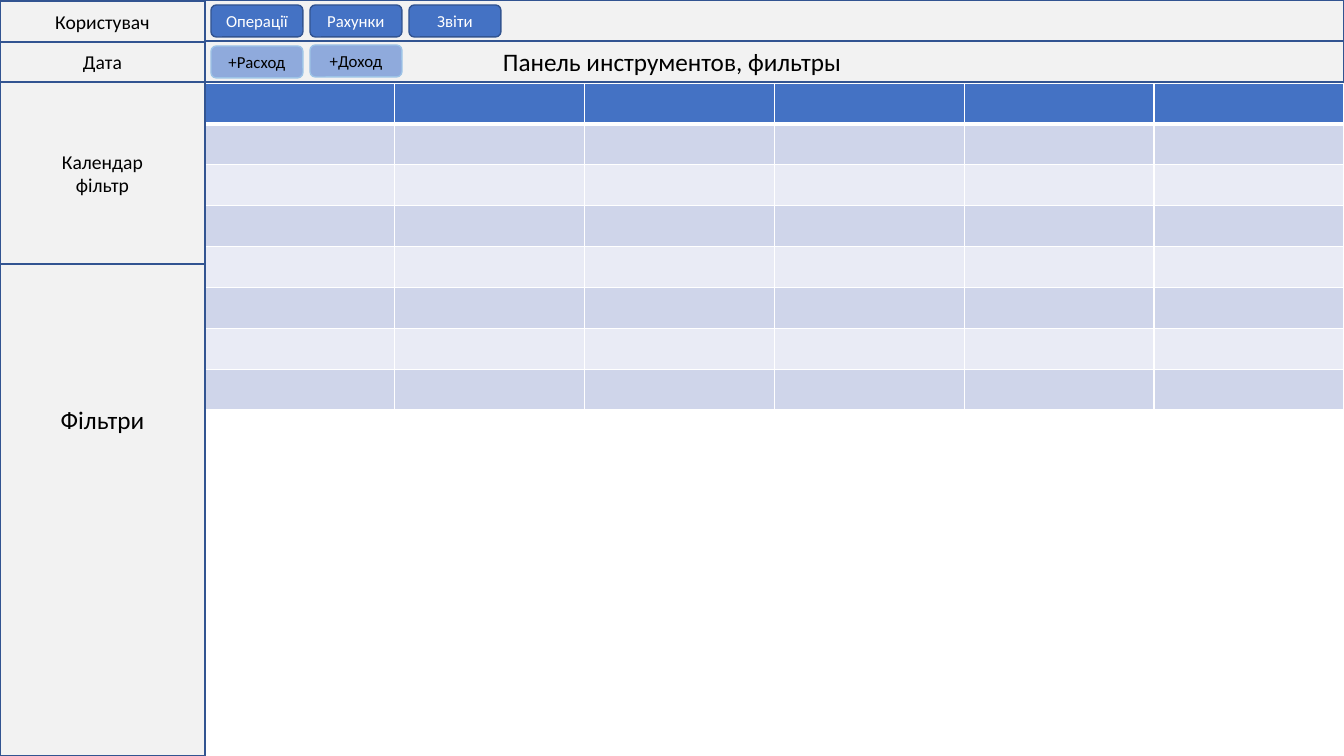
from dataclasses import dataclass

from lxml.etree import SubElement
from pptx import Presentation
from pptx.dml.color import RGBColor
from pptx.enum.shapes import MSO_SHAPE
from pptx.enum.text import MSO_ANCHOR, PP_ALIGN
from pptx.oxml.ns import qn
from pptx.util import Pt

SLIDE_WIDTH, SLIDE_HEIGHT = 1344, 756
EMU_PER_PIXEL = 12192000 / SLIDE_WIDTH
SIDEBAR_WIDTH = 205
BAR_HEIGHT = 41
BUTTON_LEFT, BUTTON_STEP = 211, 99
BUTTON_WIDTH, BUTTON_HEIGHT = 92, 32
GRID_TOP, GRID_HEIGHT = 83, 326
GRID_ROWS, GRID_COLUMNS = 8, 6

COLORS = {
    "panel": "F2F2F2",
    "outline": "325491",
    "accent": "4472C4",
    "entry": "8FAADC",
    "entry_outline": "9DC3E6",
    "odd_row": "CFD5EA",
    "even_row": "E9EBF5",
    "black": "000000",
    "white": "FFFFFF",
}


@dataclass(frozen=True)
class Panel:
    """A rectangular area of the window."""
    top: int
    width: int
    height: int
    label: str = ""
    size: int = 14


@dataclass(frozen=True)
class Button:
    """A rounded button placed in a numbered slot of a bar."""
    slot: int
    top: int
    label: str
    fill: str = "accent"
    outline: str = "outline"
    ink: str = "white"


TOOLBARS = [
    Panel(0, SLIDE_WIDTH, BAR_HEIGHT),
    Panel(41, SLIDE_WIDTH, BAR_HEIGHT, "Панель инструментов, фильтры", 18),
]
SIDEBAR = [
    Panel(41, SIDEBAR_WIDTH, BAR_HEIGHT, "Дата"),
    Panel(82, SIDEBAR_WIDTH, SLIDE_HEIGHT - 82, "Фільтри", 18),
    Panel(82, SIDEBAR_WIDTH, 182, "Календар\nфільтр"),
    Panel(1, SIDEBAR_WIDTH, BAR_HEIGHT, "Користувач"),
]
BUTTONS = [
    Button(0, 5, "Операції"),
    Button(1, 5, "Рахунки"),
    Button(2, 5, "Звіти"),
    Button(0, 46, "+Расход", "entry", "entry_outline", "black"),
    Button(1, 45, "+Доход", "entry", "entry_outline", "black"),
]


def px(pixels: int) -> int:
    """Turn pixels into EMU."""
    return round(pixels * EMU_PER_PIXEL)


def color(name: str) -> RGBColor:
    """Look up a named colour."""
    return RGBColor.from_string(COLORS[name])


def write(frame, text: str, *, size: int, ink: str = "black") -> None:
    """Write centred text, one paragraph a line."""
    frame.text = text
    frame.word_wrap = True
    frame.vertical_anchor = MSO_ANCHOR.MIDDLE
    for paragraph in frame.paragraphs:
        paragraph.alignment = PP_ALIGN.CENTER
        for run in paragraph.runs:
            run.font.name = "Calibri"
            run.font.size = Pt(size)
            run.font.color.rgb = color(ink)


def draw_box(slide, kind: MSO_SHAPE, box: tuple[int, int, int, int],
             fill: str, outline: str):
    """Draw a filled and outlined shape and return it."""
    shape = slide.shapes.add_shape(kind, *map(px, box))
    shape.shadow.inherit = False
    shape.fill.solid()
    shape.fill.fore_color.rgb = color(fill)
    shape.line.color.rgb = color(outline)
    shape.line.width = Pt(1)
    return shape


def draw_panel(slide, panel: Panel) -> None:
    """Draw a panel from the left edge of the window."""
    area = draw_box(slide, MSO_SHAPE.RECTANGLE,
                    (0, panel.top, panel.width, panel.height), "panel", "outline")
    if panel.label:
        write(area.text_frame, panel.label, size=panel.size)


def draw_button(slide, button: Button) -> None:
    """Draw a button in its slot."""
    left = BUTTON_LEFT + button.slot * BUTTON_STEP
    face = draw_box(slide, MSO_SHAPE.ROUNDED_RECTANGLE,
                    (left, button.top, BUTTON_WIDTH, BUTTON_HEIGHT),
                    button.fill, button.outline)
    write(face.text_frame, button.label, size=12, ink=button.ink)


def set_borders(cell, widths: dict[str, int]) -> None:
    """Give a cell white borders, with widths in points by side."""
    properties = cell._tc.get_or_add_tcPr()
    for side, width in widths.items():
        border = SubElement(properties, qn(f"a:ln{side}"), w=str(Pt(width)))
        paint = SubElement(border, qn("a:solidFill"))
        SubElement(paint, qn("a:srgbClr"), val=COLORS["white"])


def draw_grid(slide) -> None:
    """Draw the empty table of operations with a header and banded rows."""
    grid = slide.shapes.add_table(
        GRID_ROWS, GRID_COLUMNS, px(SIDEBAR_WIDTH), px(GRID_TOP),
        px(SLIDE_WIDTH - SIDEBAR_WIDTH), px(GRID_HEIGHT)).table
    for index in range(GRID_ROWS):
        band = "accent" if index == 0 else "odd_row" if index % 2 else "even_row"
        widths = {"L": 1, "R": 1, "T": 3 if index == 1 else 1,
                  "B": 3 if index == 0 else 1}
        for column in range(GRID_COLUMNS):
            cell = grid.cell(index, column)
            set_borders(cell, widths)
            cell.fill.solid()
            cell.fill.fore_color.rgb = color(band)


def main() -> None:
    """Build the window layout and save it."""
    deck = Presentation()
    deck.slide_width, deck.slide_height = px(SLIDE_WIDTH), px(SLIDE_HEIGHT)
    slide = deck.slides.add_slide(deck.slide_layouts[6])
    draw_grid(slide)
    for panel in TOOLBARS + SIDEBAR:
        draw_panel(slide, panel)
    for button in BUTTONS:
        draw_button(slide, button)
    deck.save("out.pptx")


main()
